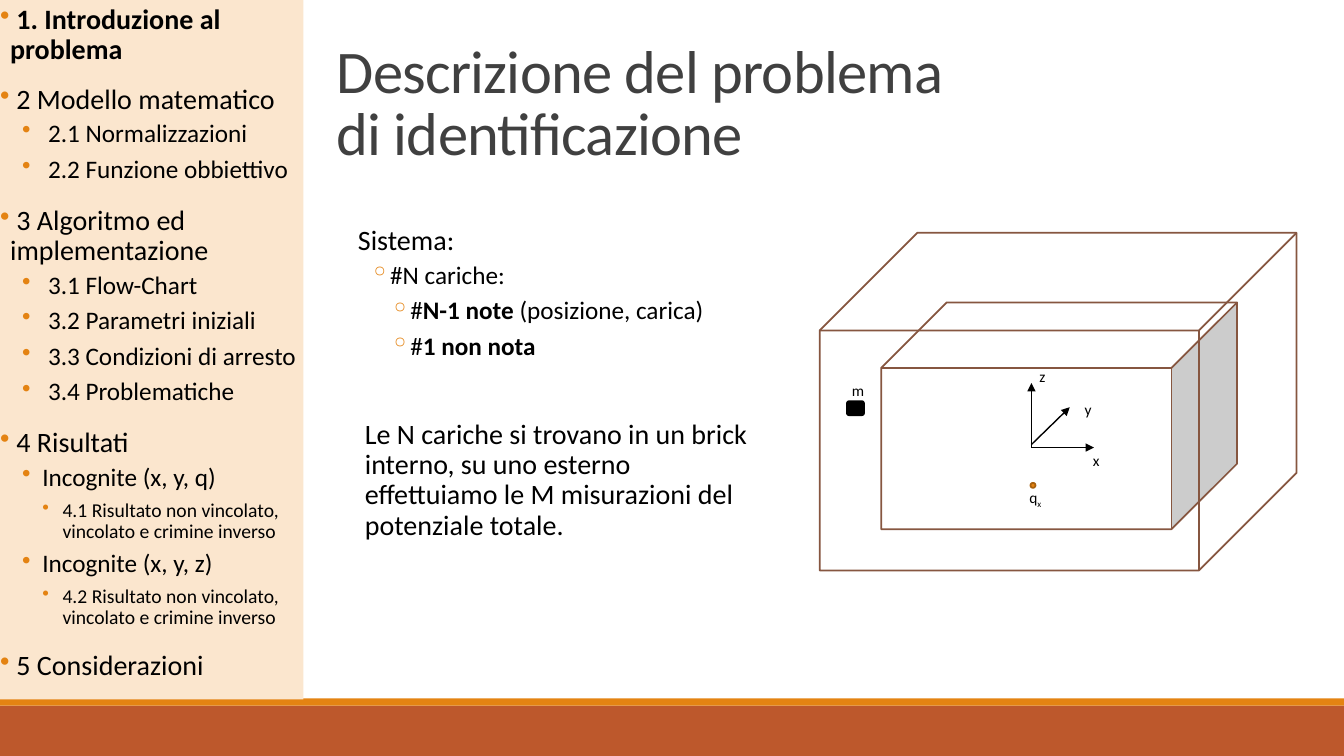
from lxml.etree import SubElement
from pptx import Presentation
from pptx.dml.color import RGBColor
from pptx.enum.shapes import MSO_CONNECTOR as Connector, MSO_SHAPE as Shape
from pptx.enum.text import MSO_ANCHOR as Anchor, PP_ALIGN as Align
from pptx.oxml.ns import qn
from pptx.util import Inches, Pt

ORANGE, BROWN, BLACK = "E48312", "865640", "000000"
# level: size, left margin, indent, space before, space after
LEVELS = [(20, 0.1, -0.1, 12, 2), (18, 0.42, -0.2, 2, 4), (14, 0.62, -0.2, 2, 4)]


def add_block(kind, left, top, width, height, fill=None, line=None):
    place = [Inches(n) for n in (left, top, width, height)]
    if kind is None:
        block = page.shapes.add_textbox(*place)
    else:
        block = page.shapes.add_shape(kind, *place)
        block.shadow.inherit = False
        if fill:
            block.fill.solid()
            block.fill.fore_color.rgb = RGBColor.from_string(fill)
        else:
            block.fill.background()
        if line:
            block.line.color.rgb = RGBColor.from_string(line)
            block.line.width = Pt(1.25)
        else:
            block.line.fill.background()
    block.text_frame.word_wrap = True
    return block


def add_para(box, texts, size, spacing, before=0, after=0, margin=0, indent=0,
             bullet=None, color=BLACK):
    frame = box.text_frame
    para = frame.paragraphs[0]
    if para.runs:
        para = frame.add_paragraph()
    para.alignment = Align.LEFT
    para.line_spacing = spacing
    para.space_before, para.space_after = Pt(before), Pt(after)
    properties = para._p.get_or_add_pPr()
    properties.set("marL", str(Inches(margin)))
    properties.set("indent", str(Inches(indent)))
    if bullet:
        tint = SubElement(properties, qn("a:buClr"))
        SubElement(tint, qn("a:srgbClr"), val=ORANGE)
        SubElement(properties, qn("a:buChar"), char=bullet)
    para.font.name, para.font.size = "Calibri", Pt(size)
    para.font.color.rgb = RGBColor.from_string(color)
    for text in texts:
        span = para.add_run()
        span.text = text
    return para


deck = Presentation()
deck.slide_width, deck.slide_height = Inches(13.33), Inches(7.5)
page = deck.slides.add_slide(deck.slide_layouts[6])

add_block(Shape.RECTANGLE, 0, 7, 13.33, 0.5, "BD582C")
add_block(Shape.RECTANGLE, 0, 6.93, 13.33, 0.07, ORANGE)

title = add_block(None, 3.24, 0.35, 10, 1.36)
title.text_frame.vertical_anchor = Anchor.BOTTOM
heading = add_para(title, ["Descrizione del problema"], 43.2, 0.85, color="404040")
heading.add_line_break()
heading.add_run().text = "di identificazione"
for span in heading.runs:
    span.font._element.set("spc", "-50")

sidebar = add_block(Shape.RECTANGLE, 0, 0, 3.01, 6.94, "FBE6CE")
sidebar.text_frame.vertical_anchor = Anchor.TOP
sidebar.text_frame.margin_left = sidebar.text_frame.margin_right = 0
outline = [
    (0, " 1. Introduzione al problema"),
    (0, " 2 Modello matematico"),
    (1, " 2.1 Normalizzazioni"),
    (1, " 2.2 Funzione obbiettivo"),
    (0, " 3 Algoritmo ed implementazione"),
    (1, " 3.1 Flow-Chart"),
    (1, " 3.2 Parametri iniziali"),
    (1, " 3.3 Condizioni di arresto"),
    (1, " 3.4 Problematiche"),
    (0, " 4 Risultati"),
    (1, "Incognite (x, y, q)"),
    (2, "4.1 Risultato non vincolato, vincolato e crimine inverso"),
    (1, "Incognite (x, y, z)"),
    (2, "4.2 Risultato non vincolato, vincolato e crimine inverso"),
    (0, " 5 Considerazioni"),
]
for level, text in outline:
    size, margin, indent, before, after = LEVELS[level]
    para = add_para(sidebar, [text], size, 0.9, before, after, margin, indent, "•")
    para.level = level
sidebar.text_frame.paragraphs[0].font.bold = True

summary = add_block(None, 3.42, 4.12, 4.29, 1.31)
add_para(summary, ["Le N cariche si trovano in un brick interno, su uno esterno "
                   "effettuiamo le M misurazioni del potenziale totale."],
         20, 0.9, 12, 2, 0.1)

inner_brick = add_block(Shape.CUBE, 8.74, 3, 3.53, 2.25, "FFFFFF", BROWN)
outer_brick = add_block(Shape.CUBE, 8.13, 2.31, 4.73, 3.35, None, BROWN)
for brick in (inner_brick, outer_brick):
    brick.adjustments[0] = 0.289

for start_y, end_x, end_y in [(4.43, 10.23, 3.8), (4.44, 10.85, 4.44), (4.41, 10.61, 4.04)]:
    axis = page.shapes.add_connector(Connector.STRAIGHT, Inches(10.23), Inches(start_y),
                                     Inches(end_x), Inches(end_y))
    axis.line.color.rgb = RGBColor.from_string(BLACK)
    axis.line.width = Pt(1)
    SubElement(axis.line._get_or_add_ln(), qn("a:tailEnd"), type="triangle")
    SubElement(axis._element.spPr, qn("a:effectLst"))

add_block(Shape.OVAL, 10.22, 4.79, 0.05, 0.05, ORANGE, "A9610D")
add_block(Shape.ROUNDED_RECTANGLE, 8.4, 3.98, 0.17, 0.14, BLACK, BLACK)

labels = [("x", 10.74, 4.41, 0.25), ("y", 10.66, 3.91, 0.25), ("z", 10.21, 3.58, 0.25),
          ("m", 8.35, 3.72, 0.33), ("qx", 10.11, 4.78, 0.35)]
for name, left, top, width in labels:
    label = add_block(None, left, top, width, 0.27)
    para = add_para(label, name, 11, 1.07, after=8)
para.runs[1].font._element.set("baseline", "-25000")

system = add_block(None, 3.45, 2.2, 3.8, 1.97)
system.text_frame.margin_left = system.text_frame.margin_right = 0
add_para(system, ["Sistema:"], 20, 0.9, 12, 2, 0.1)
for level, texts in [(1, ["#N cariche:"]),
                     (2, ["#", "N-1 note ", "(posizione, carica)"]),
                     (2, ["#", "1 non nota"])]:
    size, margin, indent, before, after = LEVELS[level]
    para = add_para(system, texts, 18, 0.9, before, after, margin, indent, "◦")
    para.level = level
    for span in para.runs[1:2]:
        span.font.bold = True

deck.save("out.pptx")
